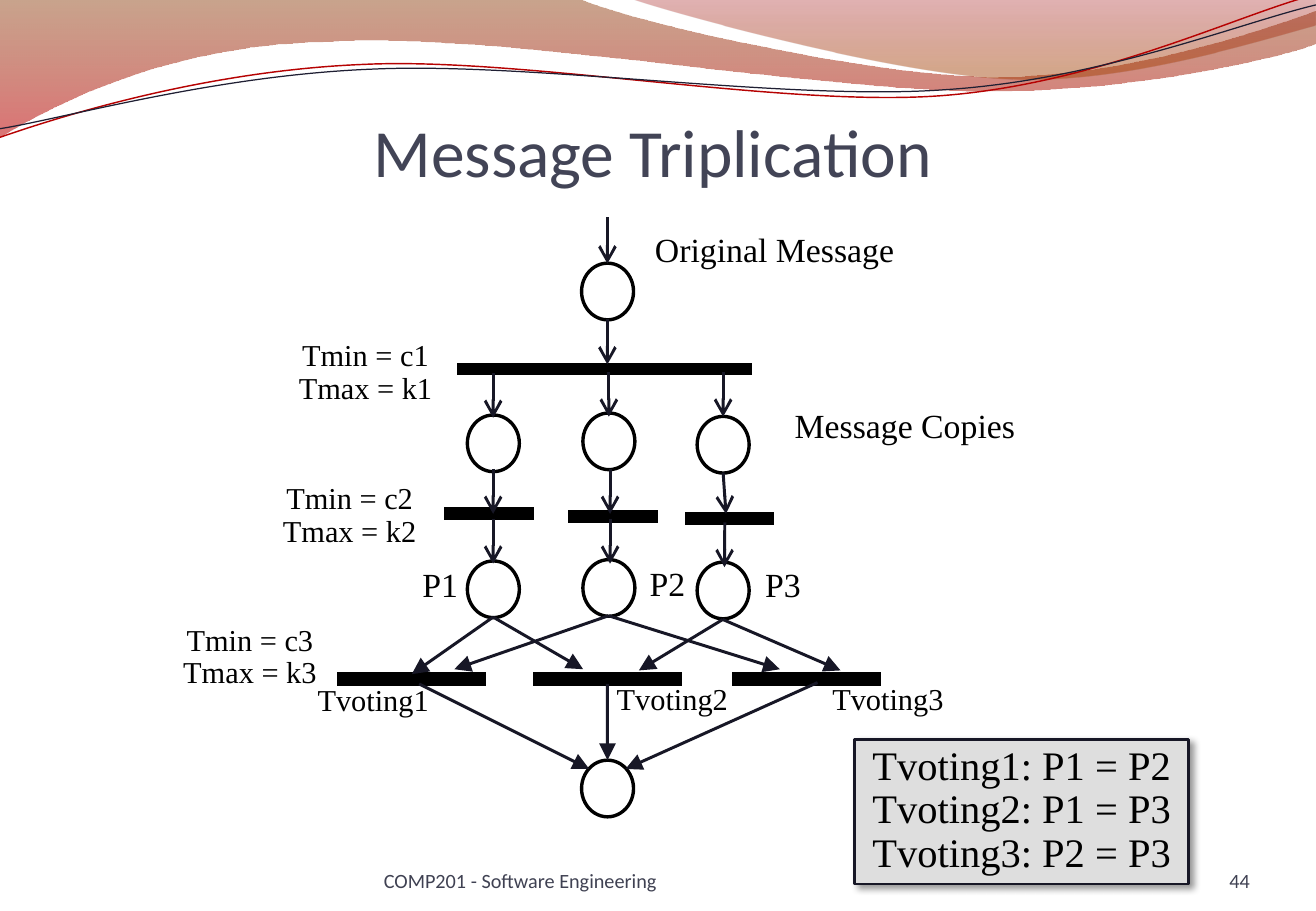
"""Build the Message Triplication slide: a Petri net under a wave header."""
import pptx
import pptx.dml.color
import pptx.enum.shapes
import pptx.enum.text
import pptx.oxml
import pptx.oxml.ns
import pptx.util

Pt = pptx.util.Pt
RGB = pptx.dml.color.RGBColor.from_string
SHAPE = pptx.enum.shapes.MSO_SHAPE
ALIGN = pptx.enum.text.PP_ALIGN
ANCHOR = pptx.enum.text.MSO_ANCHOR
qn = pptx.oxml.ns.qn
NAMESPACE = pptx.oxml.ns.nsdecls("a")
COLORS = {
    "black": "000000", "arrow": "171726", "panel": "DEDEDE",
    "title": "424456", "footer": "3F4152",
    "brown": "883400", "red": "BD0000", "maroon": "9A0000", "rust": "A23E00",
    "red line": "B60202", "dark line": "1F1F33",
}
SERIF, SANS = "Times New Roman", "Calibri"


def write(shape, lines, size, font=SERIF, color="black", align=ALIGN.CENTER,
          spacing=0.9, wrap=True, anchor=ANCHOR.TOP):
    """Put styled lines of text into a shape."""
    frame = shape.text_frame
    frame.word_wrap = wrap
    frame.vertical_anchor = anchor
    frame.text = "\n".join(lines)
    for para in frame.paragraphs:
        para.alignment = align
        para.line_spacing = spacing
        para.font.size = Pt(size)
        para.font.name = font
        para.font.color.rgb = RGB(COLORS[color])


def trace(start, segments, close):
    """Draw an outline from straight (2 numbers) and cubic (6 numbers) segments."""
    points = [(Pt(x), Pt(y)) for segment in segments
              for x, y in zip(segment[::2], segment[1::2])]
    builder = page.shapes.build_freeform(Pt(start[0]), Pt(start[1]), scale=1.0)
    builder.add_line_segments(points, close=close)
    outline = builder.convert_to_shape()
    outline.shadow.inherit = False
    steps = iter(list(outline.element.iter(qn("a:lnTo"))))
    for segment in segments:
        first, *others = [next(steps) for _ in segment[::2]]
        if others:
            cubic = pptx.oxml.parse_xml(f"<a:cubicBezTo {NAMESPACE}/>")
            first.addprevious(cubic)
            for step in [first, *others]:
                cubic.append(step[0])
                step.getparent().remove(step)
    return outline


deck = pptx.Presentation()
deck.slide_width, deck.slide_height = Pt(780), Pt(540)
page = deck.slides.add_slide(deck.slide_layouts[6])

bands = [
    ((0, -0.7), [(343.4, -0.7), (370.8, 12.2, 517.7, 45.4, 591.8, 45.4),
                 (665.3, 45.4, 747.4, 18.7, 780, 6.5), (780.5, 25.9),
                 (766.8, 31.7, 678.2, 54.7, 581.8, 54),
                 (485.3, 54, 298.1, 20.2, 200.9, 24.5),
                 (100.8, 25.9, 36, 59.8, -0.7, 81.4)],
     [(0, "brown", 45), (1, "red", 55)]),
    ((373.7, -0.7), [(397.4, 7.9, 532.1, 44.6, 599.8, 46.8),
                     (667.4, 49.7, 750.2, 23, 780, 15.1), (780, 0)],
     [(0, "maroon", 30), (0.8, "rust", 45)]),
]
for start, segments, stops in bands:
    band = trace(start, segments, True)
    band.line.fill.background()
    band.fill.gradient()
    band.fill.gradient_angle = 270
    for stop, (position, color, opacity) in zip(band.fill.gradient_stops, stops):
        stop.position = position
        stop.color.rgb = RGB(COLORS[color])
    for tint, (position, color, opacity) in zip(band.element.iter(qn("a:srgbClr")), stops):
        tint.append(pptx.oxml.parse_xml(f'<a:alpha {NAMESPACE} val="{opacity * 1000}"/>'))

waves = [
    ((0, 81.4), [(37.4, 68.4, 123.1, 41.8, 216, 38.2),
                 (308.2, 33.8, 462.2, 63.4, 555.8, 56.9),
                 (649.4, 50.4, 732.2, 9.4, 778.3, -2.9)], "red line", 0.85),
    ((0, 76.3), [(36.7, 70.6, 127.4, 44.6, 221, 41),
                 (313.9, 36.7, 465.8, 59.8, 558.7, 53.3),
                 (652.3, 47.5, 734.4, 13.7, 780, 2.9)], "dark line", 0.75),
]
for start, segments, color, width in waves:
    wave = trace(start, segments, False)
    wave.fill.background()
    wave.line.color.rgb = RGB(COLORS[color])
    wave.line.width = Pt(width)

headings = [
    ("Message Triplication", 32.6, 50.4, 708.5, 62.6, 40, "title", ALIGN.CENTER, 3.6),
    ("COMP201 - Software Engineering", 227.5, 500.4, 285.8, 28.8, 12, "footer", ALIGN.LEFT, 0),
    ("44", 676.1, 500.4, 64.8, 28.8, 12, "footer", ALIGN.RIGHT, 0),
]
for text, left, top, width, height, size, color, align, inset in headings:
    box = page.shapes.add_textbox(Pt(left), Pt(top), Pt(width), Pt(height))
    frame = box.text_frame
    frame.margin_left = frame.margin_right = frame.margin_bottom = 0
    frame.margin_top = Pt(inset)
    write(box, [text], size, SANS, color, align, 1.0, anchor=ANCHOR.BOTTOM)

places = [(344.7, 156), (345.5, 244.8), (413.2, 246.8), (277, 246),
          (345.5, 331.7), (413.2, 333.2), (277, 332.5), (344.7, 450.6)]
for left, top in places:
    place = page.shapes.add_shape(SHAPE.OVAL, Pt(left), Pt(top), Pt(30.8), Pt(33.6))
    place.shadow.inherit = False
    place.fill.background()
    place.line.color.rgb = RGB(COLORS["black"])
    place.line.width = Pt(2)
final_place = place

transitions = {
    "fork": (272, 216.2, 172.8, 5),
    "voting1": (200.9, 399.6, 86.4, 5.8),
    "voting2": (316.8, 399.6, 86.4, 5.8),
    "voting3": (434.7, 399.6, 86.4, 5.8),
    "send1": (264.2, 301.7, 51.1, 5.8),
    "send2": (337.7, 303.3, 51.1, 5.8),
    "send3": (406.8, 304.6, 51.1, 5.8),
}
bars = {}
for name, (left, top, width, height) in transitions.items():
    bar = page.shapes.add_shape(SHAPE.RECTANGLE, Pt(left), Pt(top), Pt(width), Pt(height))
    bar.shadow.inherit = False
    bar.fill.solid()
    bar.fill.fore_color.rgb = RGB(COLORS["black"])
    bar.line.color.rgb = RGB(COLORS["black"])
    bar.line.width = Pt(2)
    bar.element.spPr.find(qn("a:ln")).append(
        pptx.oxml.parse_xml(f'<a:miter {NAMESPACE} lim="800000"/>'))
    bars[name] = bar

arrows = {
    "arrow": [
        (360, 128.9, 360, 156.2), (360, 189.4, 360, 216),
        (292.3, 221, 292.3, 247.7), (360.9, 220.3, 360.9, 247), (428.6, 220.3, 428.6, 247),
        (292.3, 277.9, 292.3, 304.6), (361.6, 277.9, 361.6, 304.6), (428.6, 280.1, 430.3, 304.6),
        (292.3, 307.4, 292.3, 334.1), (361.6, 307.4, 361.6, 334.1), (429.6, 309.6, 429.4, 336.2),
    ],
    "triangle": [
        (292.3, 365.8, 244.1, 399.6), (292.3, 365.8, 345.6, 396.7),
        (360.7, 365, 269.3, 396.7), (428.4, 367.2, 378.7, 397.4),
        (360.7, 365, 462.2, 396.7), (428.4, 367.2, 498.2, 397.4),
        (248.4, 405.4, 349.2, 455.8), (360.7, 405.4, 360, 450.7), (484.6, 404.6, 370.8, 455.8),
    ],
}
links = {}
for head, routes in arrows.items():
    links[head] = []
    for route in routes:
        link = page.shapes.add_connector(
            pptx.enum.shapes.MSO_CONNECTOR.STRAIGHT, *[Pt(value) for value in route])
        link.line.color.rgb = RGB(COLORS["arrow"])
        link.line.width = Pt(1.75)
        link.element.spPr.find(qn("a:ln")).append(pptx.oxml.parse_xml(
            f'<a:tailEnd {NAMESPACE} type="{head}" w="lg" len="lg"/>'))
        link.element.spPr.append(pptx.oxml.parse_xml(f"<a:effectLst {NAMESPACE}/>"))
        links[head].append(link)
links["triangle"][0].end_connect(bars["voting1"], 0)
links["triangle"][7].begin_connect(bars["voting2"], 2)
links["triangle"][7].end_connect(final_place, 0)

labels = [
    (["P1"], 239, 333.4, 43.9, 20, True), (["P2"], 373.7, 332.6, 43.9, 20, True),
    (["P3"], 442.1, 333.4, 43.9, 20, True),
    (["Original Message"], 380.6, 134.6, 157, 20, False),
    (["Message Copies"], 463.3, 239, 146.2, 20, False),
    (["Tvoting1"], 180.2, 402.7, 82.1, 18, True), (["Tvoting2"], 357.5, 401.8, 82.1, 18, True),
    (["Tvoting3"], 485.3, 401.8, 82.1, 18, True),
    (["Tmin = c1", "Tmax = k1"], 169.5, 198, 94.3, 18, False),
    (["Tmin = c2", "Tmax = k2"], 160.1, 283, 94.3, 18, False),
    (["Tmin = c3", "Tmax = k3"], 101, 366.9, 94.3, 18, False),
]
for lines, left, top, width, size, wrap in labels:
    height = 7.2 + 1.08 * size * len(lines)
    box = page.shapes.add_textbox(Pt(left), Pt(top), Pt(width), Pt(height))
    write(box, lines, size, wrap=wrap)

rules = page.shapes.add_shape(SHAPE.RECTANGLE, Pt(506.5), Pt(438.2), Pt(198), Pt(85.7))
rules.shadow.inherit = False
rules.fill.solid()
rules.fill.fore_color.rgb = RGB(COLORS["panel"])
rules.line.color.rgb = RGB(COLORS["arrow"])
rules.line.width = Pt(1.5)
rules.element.spPr.find(qn("a:effectLst")).append(pptx.oxml.parse_xml(
    f'<a:outerShdw {NAMESPACE} blurRad="{Pt(4)}" dist="{Pt(3)}" dir="2700000">'
    f'<a:srgbClr val="{COLORS["black"]}"><a:alpha val="40000"/></a:srgbClr></a:outerShdw>'))
write(rules, ["Tvoting1: P1 = P2", "Tvoting2: P1 = P3", "Tvoting3: P2 = P3"], 24)

deck.save("out.pptx")
